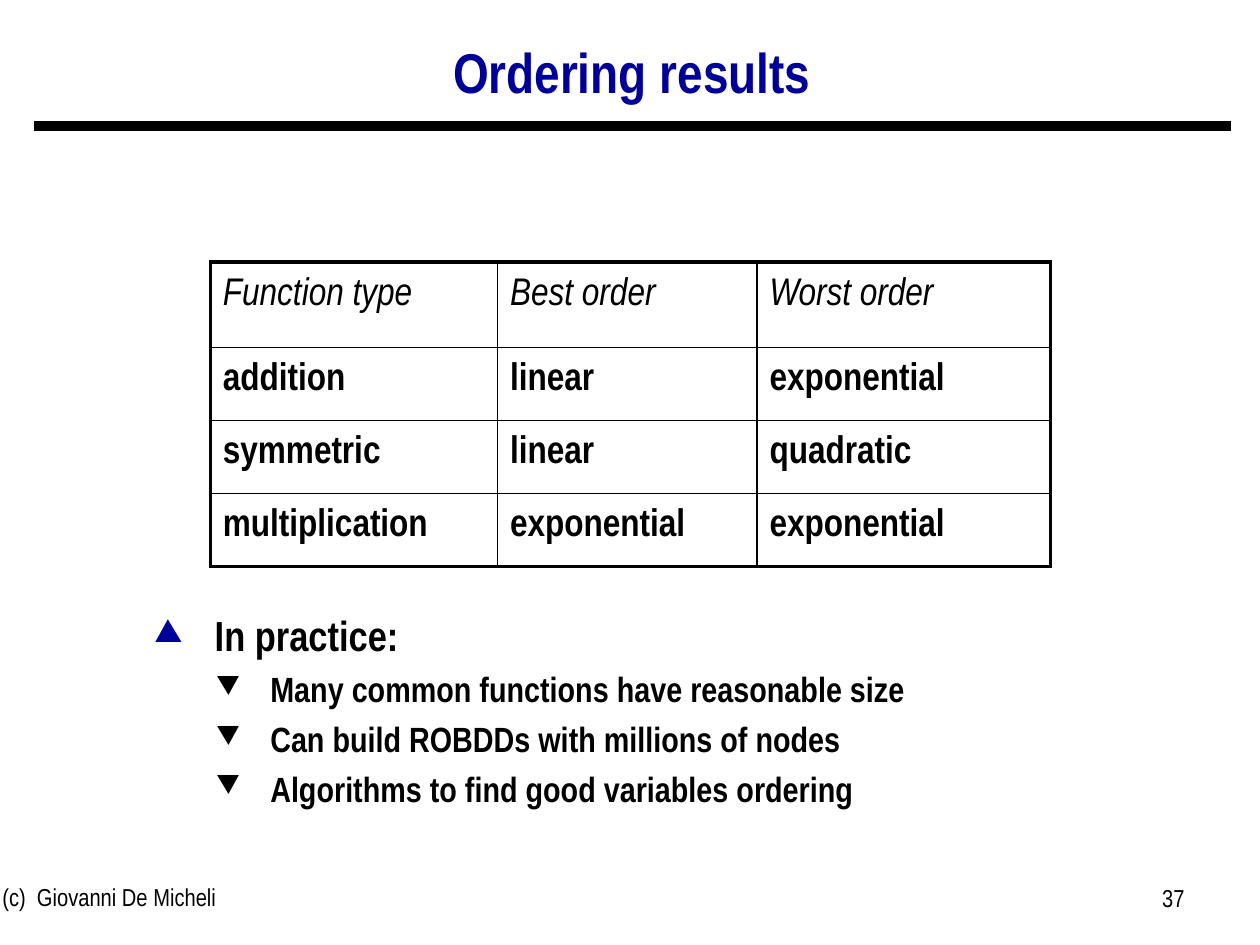
from dataclasses import dataclass

from lxml import etree
from pptx import Presentation
from pptx import util as u
from pptx.dml.color import RGBColor
from pptx.enum import shapes, text
from pptx.oxml import ns


@dataclass(frozen=True)
class Theme:
    font: str = "Arial Narrow"
    ink: str = "000000"
    accent: str = "000099"
    title: int = 32
    point: int = 24
    table: int = 22
    subpoint: int = 20
    footer: int = 14
    rule: float = 6
    outer_border: float = 2.25
    inner_border: float = 1


@dataclass(frozen=True)
class Box:
    """A place on the slide, in centimetres."""
    left: float
    top: float
    width: float
    height: float

    def lengths(self) -> list:
        return [u.Cm(v) for v in (self.left, self.top, self.width, self.height)]


@dataclass(frozen=True)
class BulletLevel:
    char: str
    color: str
    size: int
    margin: float
    hang: float
    before: float


THEME = Theme()
POINT = BulletLevel("▲", THEME.accent, THEME.point, 2.51, 1.22, 0)
SUBPOINT = BulletLevel("▼", THEME.ink, THEME.subpoint, 3.63, 1.09, 6.9)

ORDERINGS = [
    ("Function type", "Best order", "Worst order"),
    ("addition", "linear", "exponential"),
    ("symmetric", "linear", "quadratic"),
    ("multiplication", "exponential", "exponential"),
]
COLUMN_WIDTHS = (5.79, 5.23, 5.92)
ROW_HEIGHTS = (1.73, 1.47, 1.47, 1.47)

BULLETS = [
    (POINT, "In practice:"),
    (SUBPOINT, "Many common functions have reasonable size"),
    (SUBPOINT, "Can build ROBDDs with millions of nodes"),
    (SUBPOINT, "Algorithms to find good variables ordering"),
]


def write(p, words: str, size: float, color: str = THEME.ink, **styles) -> None:
    r = p.add_run()
    r.text = words
    formats = {"name": THEME.font, "size": u.Pt(size), "bold": False, **styles}
    for name, value in formats.items():
        setattr(r.font, name, value)
    r.font.color.rgb = RGBColor.from_string(color)


def add_solid_fill(parent, color: str) -> None:
    fill = etree.SubElement(parent, ns.qn("a:solidFill"))
    etree.SubElement(fill, ns.qn("a:srgbClr"), val=color)


def add_title(s, box: Box, words: str) -> None:
    sp = s.shapes.title
    sp.left, sp.top, sp.width, sp.height = box.lengths()
    tf = sp.text_frame
    tf.vertical_anchor = text.MSO_ANCHOR.MIDDLE
    p = tf.paragraphs[0]
    p.alignment, p.line_spacing = text.PP_ALIGN.CENTER, 0.9
    write(p, words, THEME.title, THEME.accent, bold=True)


def add_rule(s, left: float, right: float, y: float) -> None:
    line = s.shapes.add_connector(
        shapes.MSO_CONNECTOR.STRAIGHT, u.Cm(left), u.Cm(y), u.Cm(right), u.Cm(y))
    line.line.width = u.Pt(THEME.rule)
    line.line.color.rgb = RGBColor.from_string(THEME.ink)
    etree.SubElement(line._element.spPr, ns.qn("a:effectLst"))


def add_text_frame(s, box: Box):
    tf = s.shapes.add_textbox(*box.lengths()).text_frame
    tf.word_wrap = True
    return tf


def add_footer(s, box: Box, words: str, align) -> None:
    p = add_text_frame(s, box).paragraphs[0]
    p.alignment = align
    write(p, words, THEME.footer)


def add_bullets(s, box: Box, items: list) -> None:
    tf = add_text_frame(s, box)
    for i, (level, words) in enumerate(items):
        p = tf.add_paragraph() if i else tf.paragraphs[0]
        p.line_spacing, p.space_before = 0.9, u.Pt(level.before)
        pPr = p._p.get_or_add_pPr()
        pPr.set("marL", str(u.Cm(level.margin)))
        pPr.set("indent", str(-u.Cm(level.hang)))
        color = etree.SubElement(pPr, ns.qn("a:buClr"))
        etree.SubElement(color, ns.qn("a:srgbClr"), val=level.color)
        etree.SubElement(pPr, ns.qn("a:buSzPct"), val="75000")
        etree.SubElement(pPr, ns.qn("a:buChar"), char=level.char)
        write(p, words, level.size, bold=True)


def set_borders(cell, outer_edges: dict) -> None:
    """Draw the four borders, thicker where the edge is on the table's outside."""
    tcPr = cell._tc.get_or_add_tcPr()
    for i, (edge, is_outer) in enumerate(outer_edges.items()):
        width = THEME.outer_border if is_outer else THEME.inner_border
        ln = etree.Element(ns.qn(f"a:ln{edge}"), w=str(u.Pt(width)))
        add_solid_fill(ln, THEME.ink)
        tcPr.insert(i, ln)


def add_grid(s, box: Box, rows: list) -> None:
    last_row, last_col = len(rows) - 1, len(rows[0]) - 1
    table = s.shapes.add_table(len(rows), len(rows[0]), *box.lengths()).table
    table.first_row = table.horz_banding = False
    for column, width in zip(table.columns, COLUMN_WIDTHS):
        column.width = u.Cm(width)
    for row, height in zip(table.rows, ROW_HEIGHTS):
        row.height = u.Cm(height)
    for i, row in enumerate(rows):
        for j, words in enumerate(row):
            cell = table.cell(i, j)
            cell.fill.background()
            set_borders(cell, {"L": j == 0, "R": j == last_col,
                               "T": i == 0, "B": i == last_row})
            p = cell.text_frame.paragraphs[0]
            p.line_spacing = 1.25
            write(p, words, THEME.table, bold=i > 0, italic=i == 0)


def main() -> None:
    prs = Presentation()
    prs.slide_width, prs.slide_height = u.Cm(25.4), u.Cm(19.05)
    s = prs.slides.add_slide(prs.slide_layouts[5])
    add_rule(s, 0.69, 24.82, 2.54)
    add_footer(s, Box(-0.2, 17.65, 8.05, 1.32), "(c)  Giovanni De Micheli",
               text.PP_ALIGN.LEFT)
    add_footer(s, Box(18.21, 17.68, 5.92, 1.32), "37", text.PP_ALIGN.RIGHT)
    add_title(s, Box(0.66, 0.56, 24.16, 1.9), "Ordering results")
    add_bullets(s, Box(1.57, 12.27, 22.23, 4.67), BULLETS)
    add_grid(s, Box(4.24, 5.28, sum(COLUMN_WIDTHS), sum(ROW_HEIGHTS)), ORDERINGS)
    prs.save("out.pptx")


if __name__ == "__main__":
    main()
